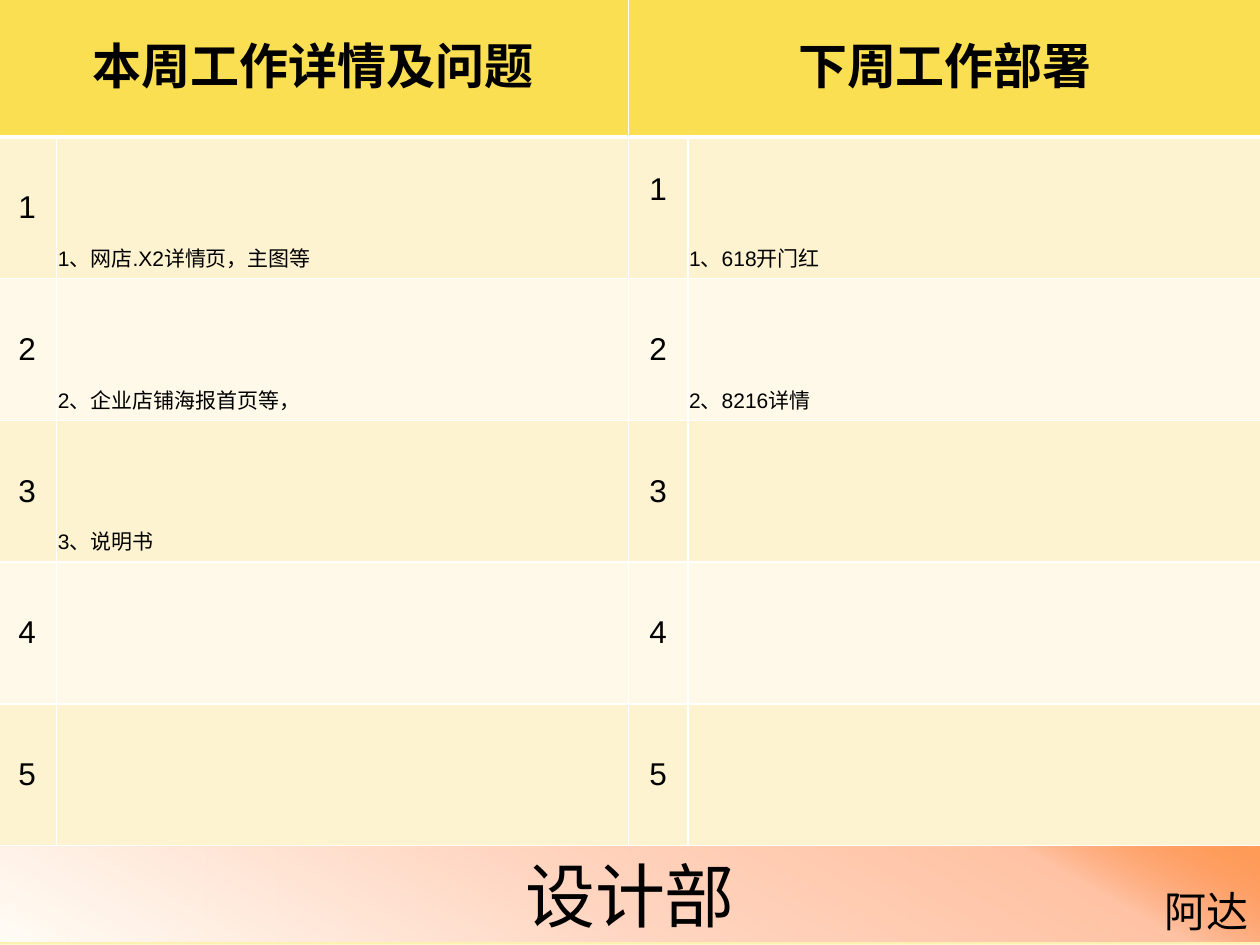
"""Build the weekly work report page of the design department."""
import dataclasses
import typing

import lxml.etree
import pptx
import pptx.dml.color
import pptx.enum.text
import pptx.oxml.ns
import pptx.util

WIDTH, HEIGHT = 10, 7.5
COLORS = {
    "ink": "000000", "line": "FFFFFF", "header": "FBDF53", "odd": "FDF3D1",
    "even": "FEF9E9", "cream": "FFFDF6", "sand": "FDF1B2", "pale": "FEF5CB",
    "blush": "FFD6C2", "peach": "FFC2A3", "orange": "FF5D0D",
}
ASIAN_FONT = "Noto Sans CJK SC"
ALIGN = pptx.enum.text.PP_ALIGN
ANCHOR = pptx.enum.text.MSO_ANCHOR
COLUMN_SHARES = (0.047, 0.454, 0.047, 0.455)
ROW_SHARE = 0.15
TIGHT = {"margin_left": 0.01, "margin_right": 0.01, "margin_top": 0.01, "margin_bottom": 0.05}
LOOSE = {"margin_left": 0.1, "margin_right": 0.1, "margin_top": 0.05, "margin_bottom": 0.05}
RAISED = {**LOOSE, "margin_bottom": 0.34}


@dataclasses.dataclass(frozen=True)
class Frame:
    """A place given in shares of the slide's size."""
    left: float
    top: float
    width: float
    height: float

    def lengths(self) -> list[int]:
        """Return left, top, width and height as lengths."""
        return [across(self.left), down(self.top), across(self.width), down(self.height)]


@dataclasses.dataclass(frozen=True)
class Style:
    """The look of a run of text and its paragraph."""
    size: float
    font: str = ASIAN_FONT
    bold: bool = False
    align: typing.Any = ALIGN.CENTER


@dataclasses.dataclass(frozen=True)
class Plan:
    """One half of the table: a heading and its numbered entries."""
    heading: str
    entries: tuple[str, ...]
    first_margins: dict[str, float]


HEADING = Style(28, bold=True)
NUMBER = Style(18, "Arial")
ENTRY = Style(12, "Arial", align=ALIGN.LEFT)
PLANS = (
    Plan("本周工作详情及问题",
         ("1、网店.X2详情页，主图等", "2、企业店铺海报首页等，", "3、说明书", "", ""), LOOSE),
    Plan("下周工作部署", ("1、618开门红", "2、8216详情", "", "", ""), RAISED),
)


def across(share: float) -> int:
    """Turn a share of the slide's width into a length."""
    return pptx.util.Inches(share * WIDTH)


def down(share: float) -> int:
    """Turn a share of the slide's height into a length."""
    return pptx.util.Inches(share * HEIGHT)


def rgb(name: str) -> pptx.dml.color.RGBColor:
    """Look up a named colour."""
    return pptx.dml.color.RGBColor.from_string(COLORS[name])


def add_node(parent, tag: str, **values):
    """Append a drawing element with the given attributes."""
    return lxml.etree.SubElement(
        parent, pptx.oxml.ns.qn(tag), {key: str(value) for key, value in values.items()})


def paint_gradient(fill, root, stops, angle: int) -> None:
    """Fill with stops of position, colour and opacity, all in percent."""
    fill.solid()
    solid = root.find(".//" + pptx.oxml.ns.qn("a:solidFill"))
    gradient = add_node(solid.getparent(), "a:gradFill", rotWithShape=1)
    stop_list = add_node(gradient, "a:gsLst")
    for position, name, opacity in stops:
        stop = add_node(stop_list, "a:gs", pos=position * 1000)
        color = add_node(stop, "a:srgbClr", val=COLORS[name])
        if opacity < 100:
            add_node(color, "a:alpha", val=opacity * 1000)
    add_node(gradient, "a:lin", ang=angle * 60000, scaled=0)
    solid.getparent().replace(solid, gradient)


def write(frame, text: str, style: Style) -> None:
    """Write one styled paragraph into a text frame."""
    para = frame.paragraphs[0]
    para.alignment = style.align
    span = para.add_run()
    span.text = text
    formats = {"size": pptx.util.Pt(style.size), "name": style.font, "bold": style.bold}
    for name, value in formats.items():
        setattr(span.font, name, value)
    span.font.color.rgb = rgb("ink")
    add_node(span.font._element, "a:ea", typeface=ASIAN_FONT)


def format_cell(cell, color: str, text: str, style: Style, anchor, margins, bottom: float = 1) -> None:
    """Give a cell its borders, fill, margins and text."""
    properties = cell._tc.get_or_add_tcPr()
    for side, points in {"L": 1, "R": 1, "T": 1, "B": bottom}.items():
        border = add_node(properties, f"a:ln{side}", w=pptx.util.Pt(points))
        add_node(add_node(border, "a:solidFill"), "a:srgbClr", val=COLORS["line"])
    cell.fill.solid()
    cell.fill.fore_color.rgb = rgb(color)
    cell.vertical_anchor = anchor
    for name, value in margins.items():
        setattr(cell, name, pptx.util.Inches(value))
    if text:
        write(cell.text_frame, text, style)


def add_banner(page) -> None:
    """Place the department's name in the title along the bottom."""
    banner = page.shapes.title
    place = Frame(-0.002, 0.895, 1.004, 0.103).lengths()
    for name, value in zip(("left", "top", "width", "height"), place):
        setattr(banner, name, value)
    stops = ((0, "cream", 100), (45, "blush", 100), (83, "peach", 100), (100, "orange", 58))
    paint_gradient(banner.fill, banner.element.spPr, stops, 299)
    banner.line.color.rgb = rgb("sand")
    banner.line.width = pptx.util.Pt(0.75)
    banner.text_frame.vertical_anchor = ANCHOR.MIDDLE
    banner.text_frame.auto_size = pptx.enum.text.MSO_AUTO_SIZE.NONE
    write(banner.text_frame, "设计部", Style(40))


def add_author(page) -> None:
    """Place the author's name in the lower right corner."""
    box = page.shapes.add_textbox(*Frame(0.914, 0.931, 0.087, 0.067).lengths())
    box.text_frame.word_wrap = False
    write(box.text_frame, "阿达", Style(24, align=ALIGN.RIGHT))


def add_plans(page) -> None:
    """Draw both plans side by side in one table."""
    rows = len(PLANS[0].entries) + 1
    place = Frame(-0.002, -0.005, sum(COLUMN_SHARES), rows * ROW_SHARE)
    table = page.shapes.add_table(rows, len(COLUMN_SHARES), *place.lengths()).table
    for column, share in zip(table.columns, COLUMN_SHARES):
        column.width = across(share)
    for row in table.rows:
        row.height = down(ROW_SHARE)
    for index, plan in enumerate(PLANS):
        left = index * 2
        for column in (left, left + 1):
            text = plan.heading if column == left else ""
            format_cell(table.cell(0, column), "header", text, HEADING, ANCHOR.MIDDLE, TIGHT, 3)
        table.cell(0, left).merge(table.cell(0, left + 1))
        for number, entry in enumerate(plan.entries, 1):
            color = "odd" if number % 2 else "even"
            margins = plan.first_margins if number == 1 else LOOSE
            format_cell(table.cell(number, left), color, str(number), NUMBER, ANCHOR.MIDDLE, margins)
            format_cell(table.cell(number, left + 1), color, entry, ENTRY, ANCHOR.BOTTOM, TIGHT)


def main() -> None:
    """Build and save the deck."""
    deck = pptx.Presentation()
    deck.slide_width, deck.slide_height = across(1), down(1)
    page = deck.slides.add_slide(deck.slide_layouts[5])
    stops = ((0, "cream", 100), (74, "sand", 100), (83, "sand", 100), (100, "pale", 100))
    fill = page.background.fill
    paint_gradient(fill, page.element, stops, 90)
    background = page.element.find(".//" + pptx.oxml.ns.qn("p:bgPr"))
    effects = background.find(pptx.oxml.ns.qn("a:effectLst"))
    if effects is not None:
        background.append(effects)
    add_banner(page)
    add_author(page)
    add_plans(page)
    deck.save("out.pptx")


if __name__ == "__main__":
    main()
